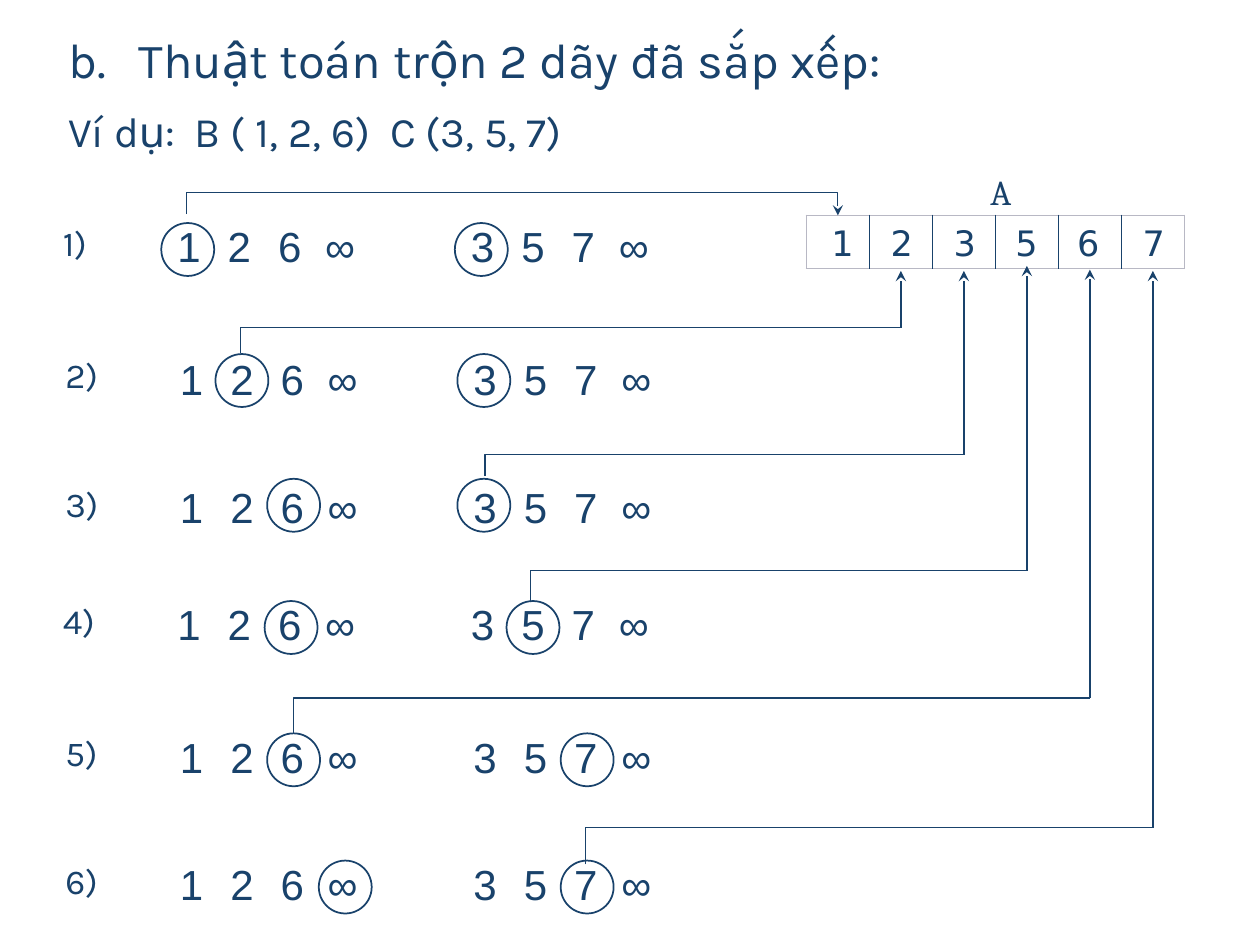
from lxml import etree
from pptx import Presentation
from pptx import util as u
from pptx.dml.color import RGBColor
from pptx.enum import shapes, text
from pptx.oxml.ns import qn

HEX = {"ink": "19426B", "edge": "B8B8C4"}
LEFT, RIGHT = 1.3, 3.63
CELL, SLOT = 0.4, 0.5
MERGED = {"left": 6.4, "top": 1.71}
# Each step: top, shift, ring top, ring slot in B, ring slot in C
STEPS = [
    (1.72, 0, 1.77, 0, 0),
    (2.77, 0.02, 2.81, 1, 0),
    (3.79, 0.02, 3.8, 2, 0),
    (4.72, 0, 4.77, 2, 1),
    (5.77, 0.02, 5.82, 2, 2),
    (6.78, 0.02, 6.83, 3, 2),
]
# Each path: start x, start y, bend y, arrow tip y
PATHS = [
    (1.91, 2.8, 2.6, 2.15),
    (3.85, 3.78, 3.61, 2.15),
    (4.21, 4.78, 4.53, 2.11),
    (2.33, 5.82, 5.54, 2.14),
    (4.65, 6.86, 6.57, 2.15),
]
DIGITS = [("1", 6.5), ("2", 6.97), ("3", 7.47), ("5", 7.96), ("6", 8.45), ("7", 8.97)]


def tint(name):
    """Return a colour from the palette."""
    return RGBColor.from_string(HEX[name])


def style(par, face, size):
    """Set the font of a paragraph."""
    font = par.font
    font.name, font.size = face, u.Pt(size)
    font.color.rgb = tint("ink")


def label(slide, words, box, face, size, inset=0.1, gap=None):
    """Add a left-aligned text box."""
    frame = slide.shapes.add_textbox(*map(u.Inches, box)).text_frame
    frame.word_wrap = True
    frame.margin_left, frame.margin_right = u.Inches(inset), 0
    par = frame.paragraphs[0]
    par.text = words
    par.line_spacing = gap
    style(par, face, size)


def title(slide, words):
    """Fill the title with a lettered heading."""
    shape = slide.shapes.title
    shape.left, shape.top, shape.width, shape.height = map(u.Inches, (0, 0.14, 9.58, 0.6))
    frame = shape.text_frame
    frame.auto_size = text.MSO_AUTO_SIZE.NONE
    frame.vertical_anchor = text.MSO_ANCHOR.TOP
    par = frame.paragraphs[0]
    par.text = words
    par.alignment = text.PP_ALIGN.LEFT
    par.line_spacing = 1.1
    par.space_before = u.Pt(0)
    props = par._p.get_or_add_pPr()
    props.set("marL", str(u.Inches(1)))
    props.set("indent", str(u.Inches(-0.56)))
    etree.SubElement(props, qn("a:buFont"), typeface="+mj-lt")
    etree.SubElement(props, qn("a:buAutoNum"), type="alphaLcPeriod", startAt="2")
    style(par, "Karla", 28)


def grid(slide, box, count):
    """Add a plain one-row table and return its cells."""
    table = slide.shapes.add_table(1, count, *map(u.Inches, box)).table
    table.first_row = table.horz_banding = False
    cells = list(table.iter_cells())
    for cell in cells:
        cell.fill.background()
    return cells


def row(slide, items, left, top):
    """Add a sequence with one item in each cell."""
    cells = grid(slide, (left, top, CELL * len(items), 0.42), len(items))
    for cell, item in zip(cells, items):
        cell.margin_left = cell.margin_right = 0
        cell.vertical_anchor = text.MSO_ANCHOR.MIDDLE
        par = cell.text_frame.paragraphs[0]
        par.text = item
        par.alignment = text.PP_ALIGN.CENTER
        style(par, "Arial", 24)


def border(cell, sides):
    """Draw the borders of a cell, given a colour for each side."""
    props = cell._tc.get_or_add_tcPr()
    for spot, (side, name) in enumerate(sides.items()):
        line = etree.Element(qn(f"a:ln{side}"), w=str(u.Pt(1)))
        fill = etree.SubElement(line, qn("a:solidFill"))
        etree.SubElement(fill, qn("a:srgbClr"), val=HEX[name])
        props.insert(spot, line)


def merged(slide):
    """Add the result array with its name and digits."""
    left, top = MERGED["left"], MERGED["top"]
    count = len(DIGITS)
    cells = grid(slide, (left, top, SLOT * count, 0.42), count)
    for spot, cell in enumerate(cells):
        border(cell, {
            "L": "ink" if spot else "edge",
            "R": "ink" if spot < count - 1 else "edge",
            "T": "edge",
            "B": "edge",
        })
    label(slide, "A", (7.32, 1.27, 0.92, 0.42), "Cambria", 20, 0.54, 1.1)
    for digit, x in DIGITS:
        label(slide, digit, (x, top, 0.42, 0.4), "DejaVu Sans", 20)


def ring(slide, left, top):
    """Circle the item being compared."""
    shape = slide.shapes.add_shape(
        shapes.MSO_SHAPE.OVAL, *map(u.Inches, (left, top, 0.42, 0.42)))
    shape.shadow.inherit = False
    shape.fill.background()
    shape.line.color.rgb = tint("ink")
    shape.line.width = u.Pt(1)


def stroke(shape, head=False):
    """Format a thin line, with an arrowhead on request."""
    shape.line.color.rgb = tint("ink")
    shape.line.width = u.Pt(0.75)
    if head:
        etree.SubElement(shape.line._get_or_add_ln(), qn("a:tailEnd"), type="stealth")


def bend(slide, points, head=False):
    """Add an open line through the points."""
    first, *rest = [tuple(map(u.Inches, point)) for point in points]
    pen = slide.shapes.build_freeform(*first)
    pen.add_line_segments(rest, close=False)
    shape = pen.convert_to_shape()
    shape.shadow.inherit = False
    shape.fill.background()
    stroke(shape, head)


def arrow(slide, x, start, end):
    """Add an upright arrow."""
    line = slide.shapes.add_connector(
        shapes.MSO_CONNECTOR.STRAIGHT, *map(u.Inches, (x, start, x, end)))
    stroke(line, True)
    etree.SubElement(line._element.spPr, qn("a:effectLst"))


def main():
    """Build the slide and save it."""
    deck = Presentation()
    deck.slide_width, deck.slide_height = u.Inches(10), u.Inches(7.5)
    slide = deck.slides.add_slide(deck.slide_layouts[5])
    title(slide, "Thuật toán trộn 2 dãy đã sắp xếp:")
    label(slide, "Ví dụ:  B ( 1, 2, 6)  C (3, 5, 7)", (0, 0.75, 9.58, 0.56),
          "Karla", 24, 0.54, 1.1)
    for step, (top, shift, high, *picks) in enumerate(STEPS, 1):
        label(slide, f"{step})", (0.4 + shift, top - 0.01, 0.5, 0.5), "Karla", 20)
        for items, left, pick in zip(("126∞", "357∞"), (LEFT, RIGHT), picks):
            row(slide, items, left + shift, top)
            ring(slide, left + shift - 0.02 + 0.41 * pick, high)
    merged(slide)
    bend(slide, [(1.48, 1.7), (1.48, 1.53), (6.65, 1.53), (6.65, 1.71)], True)
    for spot, (x, start, turn, tip) in enumerate(PATHS, 1):
        end = MERGED["left"] + SLOT * (spot + 0.5)
        bend(slide, [(x, start), (x, turn), (end, turn)])
        arrow(slide, end, turn, tip)
    deck.save("out.pptx")


if __name__ == "__main__":
    main()
